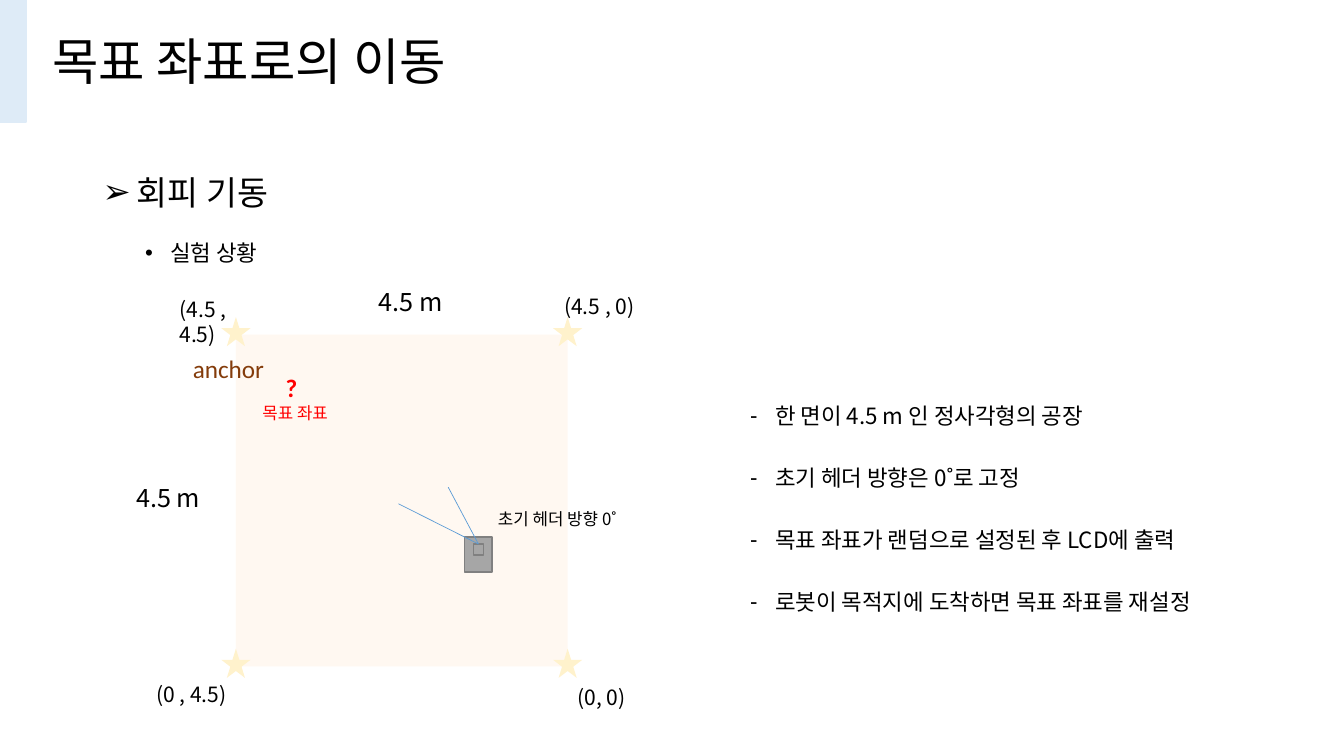
from dataclasses import dataclass

from lxml import etree
from pptx import Presentation
from pptx.dml.color import RGBColor
from pptx.enum.shapes import MSO_CONNECTOR, MSO_SHAPE
from pptx.enum.text import MSO_ANCHOR
from pptx.oxml.ns import qn
from pptx.util import Inches, Pt

RECTANGLE = MSO_SHAPE.RECTANGLE
STAR = MSO_SHAPE.STAR_5_POINT
STRAIGHT = MSO_CONNECTOR.STRAIGHT
TOP_SIDE = 0


@dataclass(frozen=True)
class Theme:
    korean: str = "Noto Sans CJK KR"
    latin: str = "Calibri"
    text: str = "000000"
    accent: str = "DEEBF7"
    factory: str = "FFF2E5"
    star: str = "FFF2CC"
    robot: str = "A6A6A6"
    robot_line: str = "808080"
    ray: str = "5B9BD5"
    anchor: str = "843C0B"
    target: str = "FF0000"
    title: int = 36
    heading: int = 24
    label: int = 18
    body: int = 16
    corner: int = 15
    small: int = 12


THEME = Theme()

TITLE = "목표 좌표로의 이동"
HEADING = "회피 기동"
SUBHEADING = "실험 상황"
CONDITIONS = [
    "한 면이 4.5 m 인 정사각형의 공장",
    "초기 헤더 방향은 0˚로 고정",
    "목표 좌표가 랜덤으로 설정된 후 LCD에 출력",
    "로봇이 목적지에 도착하면 목표 좌표를 재설정",
]

# Factory square: left, top and side in inches
LEFT, TOP, SIDE = 2.34, 3.32, 3.29
STAR_SIZE = 0.29
STAR_LIFT = 0.03

# Text, left and top as shares of the factory side, width in inches, format
LABELS = [
    ("4.5 m", 0.4, -0.16, 1.22, {}),
    ("4.5 m", -0.33, 0.43, 1.22, {}),
    ("anchor", -0.16, 0.04, 0.92, {"font": THEME.latin, "color": THEME.anchor}),
    ("(0, 0)", 1, 1.04, 0.78, {"size": THEME.corner}),
    ("(4.5 , 0)", 0.96, -0.14, 1.06, {"size": THEME.corner}),
    ("(0 , 4.5)", -0.27, 1.03, 1.06, {"size": THEME.corner}),
    ("(4.5 , 4.5)", -0.2, -0.13, 1.06, {"size": THEME.corner}),
    ("초기 헤더 방향 0˚", 0.76, 0.51, 2.02, {"size": THEME.small}),
    ("?", 0.12, 0.1, 0.37,
     {"font": THEME.latin, "color": THEME.target, "bold": True}),
    ("목표 좌표", 0.05, 0.19, 0.93,
     {"font": THEME.latin, "color": THEME.target, "size": THEME.small}),
]
RAY_STARTS = [(0.49, 0.51), (0.64, 0.46)]


def on_factory(across, down):
    """Turn shares of the factory side into slide inches."""
    return LEFT + across * SIDE, TOP + down * SIDE


def add_text(slide, lines, left, top, width, height=0.4, *, size=THEME.label,
             font=THEME.korean, color=THEME.text, bold=False, bullet=None,
             indent=0.25, hanging=0.25, spacing=None, gap=0, anchor=MSO_ANCHOR.TOP):
    box = slide.shapes.add_textbox(*map(Inches, (left, top, width, height)))
    frame = box.text_frame
    frame.word_wrap = True
    frame.vertical_anchor = anchor
    for index, line in enumerate(lines):
        paragraph = frame.paragraphs[0] if index == 0 else frame.add_paragraph()
        if spacing:
            paragraph.line_spacing = spacing
        if index:
            paragraph.space_before = Pt(gap)
        if bullet:
            properties = paragraph._p.get_or_add_pPr()
            properties.set("marL", str(Inches(indent)))
            properties.set("indent", str(-Inches(hanging)))
            etree.SubElement(properties, qn("a:buFont")).set("typeface", "Arial")
            etree.SubElement(properties, qn("a:buChar")).set("char", bullet)
        run = paragraph.add_run()
        run.text = line
        run.font.size = Pt(size)
        run.font.bold = bold
        run.font.color.rgb = RGBColor.from_string(color)
        run.font.name = font
        east_asian = etree.SubElement(run._r.get_or_add_rPr(), qn("a:ea"))
        east_asian.set("typeface", THEME.korean)
    return box


def add_block(slide, kind, left, top, width, height, fill, line=None, opacity=None):
    shape = slide.shapes.add_shape(kind, *map(Inches, (left, top, width, height)))
    shape.shadow.inherit = False
    shape.fill.solid()
    shape.fill.fore_color.rgb = RGBColor.from_string(fill)
    if opacity:
        color = shape.fill._xPr.find(".//" + qn("a:srgbClr"))
        etree.SubElement(color, qn("a:alpha")).set("val", str(opacity * 1000))
    if line:
        shape.line.color.rgb = RGBColor.from_string(line)
        shape.line.width = Pt(1)
    else:
        shape.line.fill.background()
    return shape


def add_ray(slide, start, camera):
    left, top = map(Inches, start)
    ray = slide.shapes.add_connector(STRAIGHT, left, top, left, top)
    ray.end_connect(camera, TOP_SIDE)
    ray.line.color.rgb = RGBColor.from_string(THEME.ray)
    ray.line.width = Pt(0.5)
    etree.SubElement(ray._element.spPr, qn("a:effectLst"))


def add_robot(slide):
    left, top = on_factory(0.69, 0.61)
    width, height = 0.27, 0.35
    lens_width, lens_height = 0.1, 0.11
    add_block(slide, RECTANGLE, left, top, width, height,
              THEME.robot, THEME.robot_line)
    camera = add_block(slide, RECTANGLE, left + (width - lens_width) / 2, top + 0.07,
                       lens_width, lens_height, THEME.robot, THEME.robot_line)
    for start in RAY_STARTS:
        add_ray(slide, on_factory(*start), camera)


def add_factory(slide):
    add_block(slide, RECTANGLE, LEFT, TOP, SIDE, SIDE, THEME.factory, opacity=52)
    for across in (0, 1):
        for down in (0, 1):
            x, y = on_factory(across, down)
            add_block(slide, STAR, x - STAR_SIZE / 2, y - STAR_LIFT - STAR_SIZE / 2,
                      STAR_SIZE, STAR_SIZE, THEME.star)
    add_robot(slide)
    for text, across, down, width, style in LABELS:
        add_text(slide, [text], *on_factory(across, down), width, **style)


def main():
    presentation = Presentation()
    presentation.slide_width = Inches(13.33)
    presentation.slide_height = Inches(7.5)
    slide = presentation.slides.add_slide(presentation.slide_layouts[6])

    add_block(slide, RECTANGLE, 0, 0, 0.26, 1.21, THEME.accent, THEME.accent)
    add_text(slide, [TITLE], 0.42, -0.09, 8.22, 1.45, size=THEME.title,
             spacing=0.9, anchor=MSO_ANCHOR.MIDDLE)
    add_text(slide, [HEADING], 0.92, 1.7, 10.99, 0.64, size=THEME.heading,
             bullet="➢", indent=0.34, hanging=0.34, spacing=0.9)
    add_text(slide, [SUBHEADING], 1.34, 2.35, 10.99, 0.4, size=THEME.body,
             bullet="•", spacing=0.9)
    add_factory(slide)
    add_text(slide, CONDITIONS, 6.84, 3.97, 6.05, 2.39, size=THEME.body,
             bullet="-", indent=0.75, spacing=0.9, gap=27)
    presentation.save("out.pptx")


if __name__ == "__main__":
    main()
